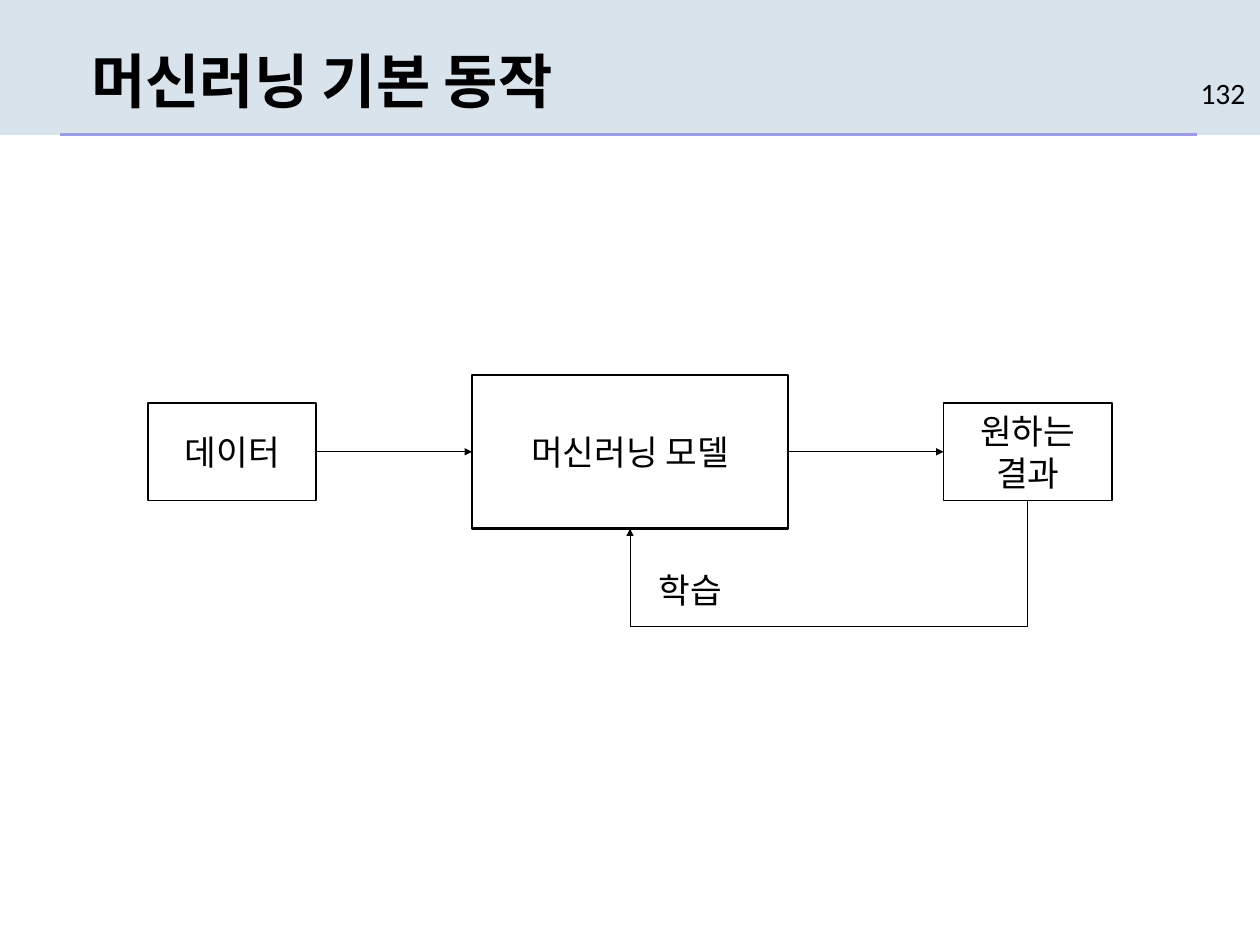
"""Build the slide on the basic operation of machine learning."""
import pptx
import pptx.util
import pptx.dml.color
import pptx.enum.shapes
import pptx.enum.text
import pptx.oxml
import pptx.oxml.ns

COLUMNS, ROWS = 128, 96
CELL = pptx.util.Inches(1 / 9)
COLOURS = {"band": "D9E3EB", "rule": "9999FF", "ink": "000000", "paper": "FFFFFF"}
KOREAN, LATIN = "Noto Sans CJK KR", "Calibri"
ALIGN = pptx.enum.text.PP_ALIGN
ANCHOR = pptx.enum.text.MSO_ANCHOR
CONNECTOR = pptx.enum.shapes.MSO_CONNECTOR


def cells(*counts):
    return [round(count * CELL) for count in counts]


def colour(name):
    return pptx.dml.color.RGBColor.from_string(COLOURS[name])


def write(frame, wording, size, font=KOREAN, bold=False, align=ALIGN.CENTER, anchor=ANCHOR.MIDDLE):
    frame.text = wording
    frame.word_wrap = True
    frame.vertical_anchor = anchor
    paragraph = frame.paragraphs[0]
    paragraph.alignment = align
    for run in paragraph.runs:
        run.font.size = pptx.util.Pt(size)
        run.font.bold = bold
        run.font.name = font
        run.font.color.rgb = colour("ink")
        east_asian = pptx.oxml.parse_xml(
            f'<a:ea {pptx.oxml.ns.nsdecls("a")} typeface="{font}"/>')
        run.font._element.find(pptx.oxml.ns.qn("a:latin")).addnext(east_asian)


def add_rectangle(slide, left, top, width, height, fill, border=0):
    rectangle = slide.shapes.add_shape(
        pptx.enum.shapes.MSO_SHAPE.RECTANGLE, *cells(left, top, width, height))
    rectangle.shadow.inherit = False
    rectangle.fill.solid()
    rectangle.fill.fore_color.rgb = colour(fill)
    if border:
        rectangle.line.color.rgb = colour("ink")
        rectangle.line.width = pptx.util.Pt(border)
    else:
        rectangle.line.fill.background()
    return rectangle


def add_stage(slide, wording, centre, middle, width, height, border):
    stage = add_rectangle(slide, centre - width / 2, middle - height / 2,
                          width, height, "paper", border)
    write(stage.text_frame, wording, 28)


def add_label(slide, wording, left, top, width, height, size, **style):
    label = slide.shapes.add_textbox(*cells(left, top, width, height))
    write(label.text_frame, wording, size, **style)
    return label.text_frame


def add_heading(slide, wording, left, top, width, height, size, **style):
    frame = add_label(slide, wording, left, top, width, height, size,
                      align=ALIGN.LEFT, **style)
    frame.margin_left = pptx.util.Inches(0.14)
    frame.margin_right = 0
    frame.margin_top = frame.margin_bottom = pptx.util.Inches(0.07)


def add_line(slide, start, end, ink="ink", width=0.75, arrow=True, kind=CONNECTOR.STRAIGHT):
    line = slide.shapes.add_connector(kind, *cells(*start, *end))
    line.line.color.rgb = colour(ink)
    line.line.width = pptx.util.Pt(width)
    namespace = pptx.oxml.ns.nsdecls("a")
    if arrow:
        line.line._get_or_add_ln().append(
            pptx.oxml.parse_xml(f'<a:tailEnd {namespace} type="triangle"/>'))
    line._element.spPr.append(pptx.oxml.parse_xml(f"<a:effectLst {namespace}/>"))
    return line


def add_feedback(slide, start, end, lowest):
    """Draw an elbow arrow that leaves downwards, runs left and comes back up."""
    rise, run = end[1] - start[1], start[0] - end[0]
    centre, middle = (start[0] + end[0]) / 2, (start[1] + end[1]) / 2
    feedback = add_line(slide, (centre - rise / 2, middle - run / 2),
                        (centre + rise / 2, middle + run / 2), kind=CONNECTOR.ELBOW)
    properties = feedback._element.spPr
    properties.xfrm.set("rot", str(90 * 60000))
    bend = round((lowest - start[1]) / rise * 100000)
    guides = properties.find(pptx.oxml.ns.qn("a:prstGeom")).get_or_add_avLst()
    guides.append(pptx.oxml.parse_xml(
        f'<a:gd {pptx.oxml.ns.nsdecls("a")} name="adj1" fmla="val {bend}"/>'))


def main():
    presentation = pptx.Presentation()
    presentation.slide_width, presentation.slide_height = cells(COLUMNS, ROWS)
    slide = presentation.slides.add_slide(presentation.slide_layouts[6])

    band_height = 13.7
    add_rectangle(slide, 0, 0, COLUMNS, band_height, "band")
    add_line(slide, (6.1, band_height), (121.6, band_height), "rule", 2.25, arrow=False)
    add_heading(slide, "머신러닝 기본 동작", 8, 3.3, 113.4, 9.1, 48,
                bold=True, anchor=ANCHOR.BOTTOM)
    add_heading(slide, "132", 120.7, 7, 7.3, 5.1, 24, font=LATIN, anchor=ANCHOR.TOP)

    model, middle, spacing = COLUMNS / 2, 45.9, 40.4
    data, result = model - spacing, model + spacing
    end_width, end_height = 17.1, 9.9
    model_width, model_height = 32.1, 15.6
    add_stage(slide, "데이터", data, middle, end_width, end_height, 1.5)
    add_stage(slide, "머신러닝 모델", model, middle, model_width, model_height, 2)
    add_stage(slide, "원하는 결과", result, middle, end_width, end_height, 1.5)

    add_line(slide, (data + end_width / 2, middle), (model - model_width / 2, middle))
    add_line(slide, (model + model_width / 2, middle), (result - end_width / 2, middle))
    add_label(slide, "학습", 64.3, 57.4, 11.7, 5.1, 28, anchor=ANCHOR.TOP)
    add_feedback(slide, (result, middle + end_height / 2),
                 (model, middle + model_height / 2), 63.6)
    presentation.save("out.pptx")


if __name__ == "__main__":
    main()
